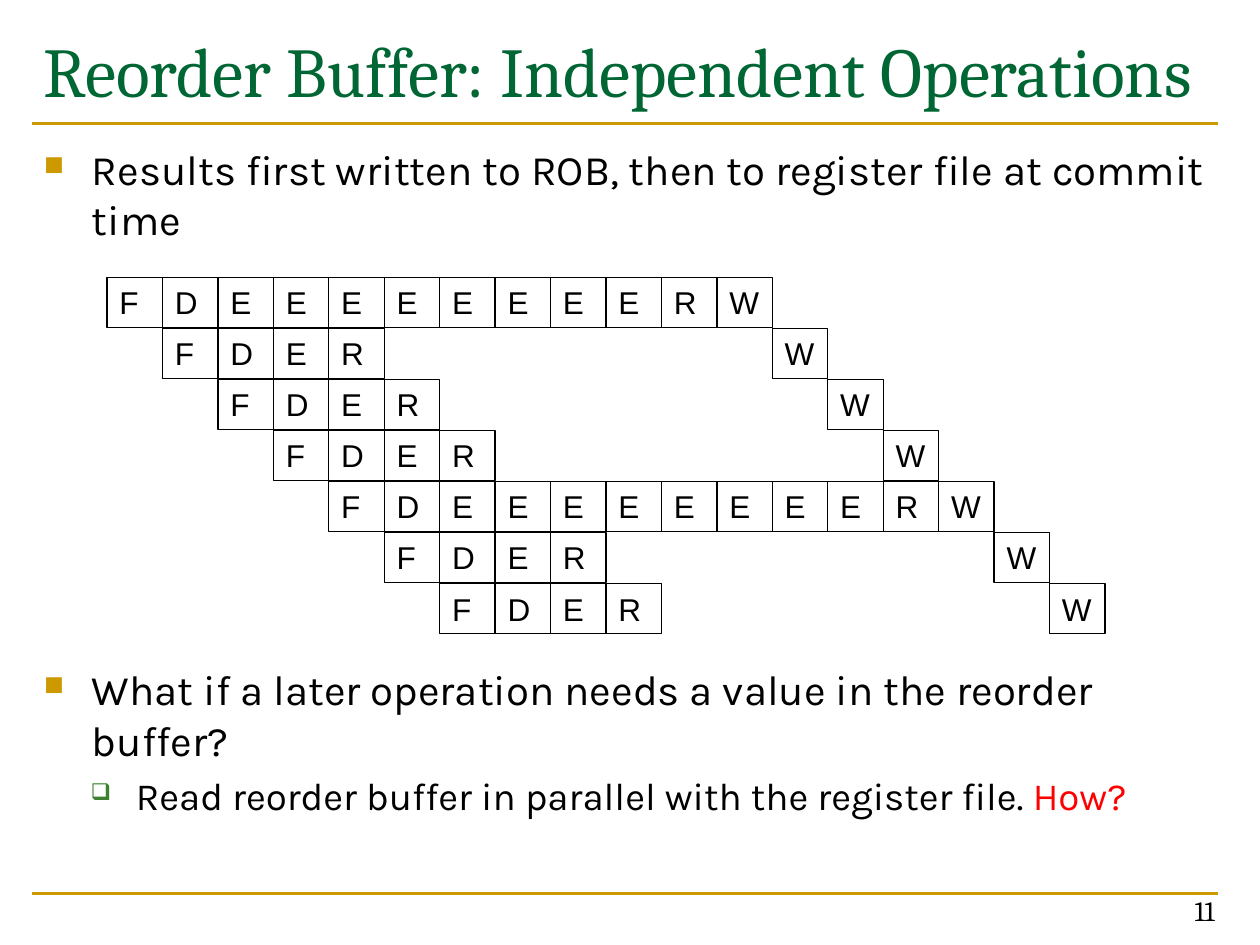
from dataclasses import dataclass

from lxml import etree
from pptx import Presentation
from pptx import util as u
from pptx.dml.color import RGBColor
from pptx.enum import shapes, text
from pptx.oxml import ns


@dataclass(frozen=True)
class Theme:
    green: str = "006633"
    gold: str = "CC9900"
    leaf: str = "3B812F"
    red: str = "FF0000"
    black: str = "000000"
    white: str = "FFFFFF"
    serif: str = "Cambria"
    sans: str = "Karla"
    mono: str = "Arial"
    title: int = 40
    body: int = 24
    sub: int = 22
    cell: int = 18
    page: int = 16


@dataclass(frozen=True)
class Run:
    words: str
    size: int
    font: str
    color: str = Theme.black


@dataclass(frozen=True)
class Mark:
    char: str
    color: str
    scale: int
    left: float
    hang: float


@dataclass(frozen=True)
class Para:
    runs: tuple[Run, ...]
    mark: Mark | None = None
    level: int = 0


@dataclass(frozen=True)
class Box:
    left: float
    top: float
    width: float
    height: float

    def place(self) -> list[u.Length]:
        return [u.Inches(v) for v in (self.left, self.top, self.width, self.height)]


@dataclass(frozen=True)
class Op:
    start: int
    steps: str
    commit: int


def assign(item, values: dict) -> None:
    for name, value in values.items():
        setattr(item, name, value)


def bullet(para, mark: Mark) -> None:
    props = para._p.get_or_add_pPr()
    props.set("marL", str(u.Inches(mark.left)))
    props.set("indent", str(-u.Inches(mark.hang)))
    color = etree.SubElement(props, ns.qn("a:buClr"))
    etree.SubElement(color, ns.qn("a:srgbClr")).set("val", mark.color)
    etree.SubElement(props, ns.qn("a:buSzPct")).set("val", str(mark.scale * 1000))
    etree.SubElement(props, ns.qn("a:buChar")).set("char", mark.char)


def write(frame, paras: list[Para], align=text.PP_ALIGN.LEFT,
          anchor=text.MSO_ANCHOR.TOP) -> None:
    assign(frame, {"word_wrap": True, "vertical_anchor": anchor})
    for n, item in enumerate(paras):
        para = frame.add_paragraph() if n else frame.paragraphs[0]
        assign(para, {"alignment": align, "level": item.level})
        if item.mark:
            para.space_before = u.Pt(item.runs[0].size * 0.2)
            bullet(para, item.mark)
        for part in item.runs:
            run = para.add_run()
            run.text = part.words
            assign(run.font, {"size": u.Pt(part.size), "name": part.font})
            run.font.color.rgb = RGBColor.from_string(part.color)


def label(slide, box: Box, paras: list[Para], **style) -> None:
    write(slide.shapes.add_textbox(*box.place()).text_frame, paras, **style)


def rule(slide, y: float) -> None:
    line = slide.shapes.add_connector(
        shapes.MSO_CONNECTOR.STRAIGHT,
        u.Inches(0.25), u.Inches(y), u.Inches(9.67), u.Inches(y))
    line.line.color.rgb = RGBColor.from_string(Theme.gold)
    line.line.width = u.Pt(1.5)
    etree.SubElement(line._element.spPr, ns.qn("a:effectLst"))


def cell(slide, col: int, row: int, step: str) -> None:
    box = Box(0.85 + col * 0.44, 2.2 + row * 2.43 / 6, 0.44, 0.4)
    rect = slide.shapes.add_shape(shapes.MSO_SHAPE.RECTANGLE, *box.place())
    rect.shadow.inherit = False
    rect.fill.solid()
    rect.fill.fore_color.rgb = RGBColor.from_string(Theme.white)
    rect.line.color.rgb = RGBColor.from_string(Theme.black)
    rect.line.width = u.Pt(0.75)
    write(rect.text_frame, [Para((Run(step, Theme.cell, Theme.mono),))])


deck = Presentation()
assign(deck, {"slide_width": u.Inches(10), "slide_height": u.Inches(7.5)})
slide = deck.slides.add_slide(deck.slide_layouts[6])

# Frame: rules, title and page number
for y in (7.09, 0.98):
    rule(slide, y)
label(slide, Box(0.25, 0.17, 9.42, 1.17),
      [Para((Run("Reorder Buffer: Independent Operations",
                 Theme.title, Theme.serif, Theme.green),))])
label(slide, Box(7.41, 6.91, 2.33, 0.5),
      [Para((Run("11", Theme.page, Theme.serif),))],
      align=text.PP_ALIGN.RIGHT, anchor=text.MSO_ANCHOR.BOTTOM)

# Bullets above and below the pipeline
main = Mark("■", Theme.gold, 65, 0.38, 0.38)
minor = Mark("❑", Theme.leaf, 60, 0.73, 0.36)
label(slide, Box(0.25, 1.09, 9.42, 1), [
    Para((Run("Results first written to ROB, then to register file at commit time",
              Theme.body, Theme.sans),), main)])
label(slide, Box(0.25, 5.22, 9.42, 1.55), [
    Para((Run("What if a later operation needs a value in the reorder buffer?",
              Theme.body, Theme.sans),), main),
    Para((Run("Read reorder buffer in parallel with the register file. ",
              Theme.sub, Theme.sans),
          Run("How?", Theme.sub, Theme.sans, Theme.red)), minor, 1)])

# Pipeline: each operation starts and commits one cycle after the last
LONG, SHORT = "FD" + "E" * 8 + "R", "FDER"
kinds = (LONG, SHORT, SHORT, SHORT, LONG, SHORT, SHORT)
ops = [Op(n, steps, n + len(LONG)) for n, steps in enumerate(kinds)]
for row, op in enumerate(ops):
    for col, step in enumerate(op.steps, op.start):
        cell(slide, col, row, step)
    cell(slide, op.commit, row, "W")

deck.save("out.pptx")
